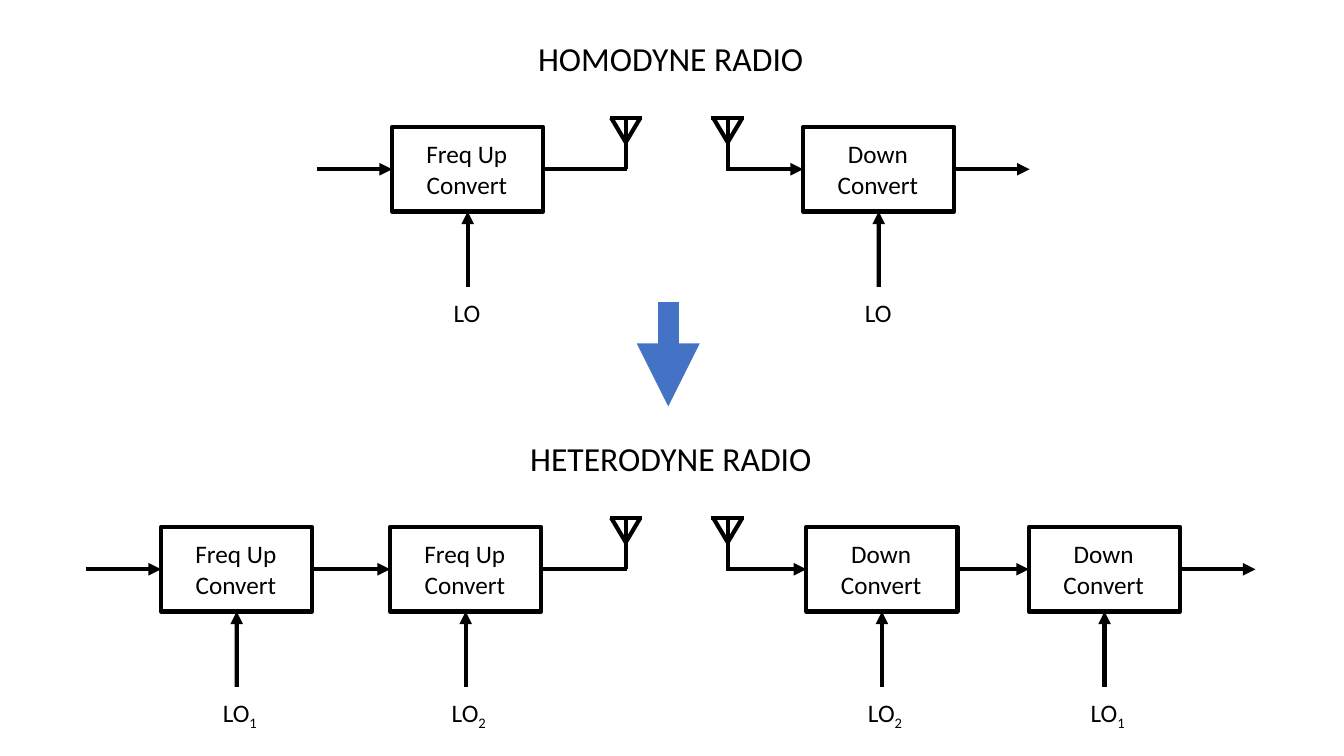
from dataclasses import dataclass

from lxml import etree
from pptx import Presentation, util as u
from pptx.dml.color import RGBColor
from pptx.enum import shapes as s, text as t
from pptx.oxml import ns

BLACK = RGBColor(0x00, 0x00, 0x00)
BLUE = RGBColor(0x44, 0x72, 0xC4)
FONT = "Calibri"

# Shared measures, in centimetres
STAGE_W, STAGE_H = 3.81, 2.13
SIGNAL_LEN = 1.9
TX_ANTENNA_X, RX_ANTENNA_X = 15.77, 18.34
RIGHT_SIDE, LEFT_SIDE, BOTTOM_SIDE = 3, 1, 2


@dataclass
class Stage:
    caption: str
    left: float
    subscript: str = ""


@dataclass
class Radio:
    title: str
    title_left: float
    title_top: float
    title_width: float
    stage_top: float
    transmit: list[Stage]
    receive: list[Stage]


RADIOS = [
    Radio("HOMODYNE RADIO", 13.31, 0.84, 7.26, 3.2,
          [Stage("Freq Up\vConvert", 9.88)],
          [Stage("Down\vConvert", 20.24)]),
    Radio("HETERODYNE RADIO", 13.11, 10.92, 7.67, 13.28,
          [Stage("Freq Up\vConvert", 4.06, "1"),
           Stage("Freq Up\vConvert", 9.83, "2")],
          [Stage("Down\vConvert", 20.32, "2"),
           Stage("Down\vConvert", 25.93, "1")]),
]


def draw_line(shapes, x1: float, y1: float, x2: float, y2: float,
              arrow: bool = False, color: RGBColor = BLACK, width: float = 3):
    connector = shapes.add_connector(
        s.MSO_CONNECTOR.STRAIGHT, u.Cm(x1), u.Cm(y1), u.Cm(x2), u.Cm(y2))
    connector.line.color.rgb = color
    connector.line.width = u.Pt(width)
    properties = connector._element.spPr
    if arrow:
        outline = properties.find(ns.qn("a:ln"))
        etree.SubElement(outline, ns.qn("a:tailEnd"), type="triangle")
    etree.SubElement(properties, ns.qn("a:effectLst"))
    return connector


def draw_text(shapes, wording: str, left: float, top: float, width: float,
              height: float, size: int = 18, centred: bool = False,
              subscript: str = "") -> None:
    frame = shapes.add_textbox(
        u.Cm(left), u.Cm(top), u.Cm(width), u.Cm(height)).text_frame
    frame.word_wrap = False
    frame.auto_size = t.MSO_AUTO_SIZE.SHAPE_TO_FIT_TEXT
    frame.text = wording
    line = frame.paragraphs[0]
    if centred:
        line.alignment = t.PP_ALIGN.CENTER
    if subscript:
        index = line.add_run()
        index.text = subscript
        index.font._element.set("baseline", "-25000")
    for run in line.runs:
        run.font.name = FONT
        run.font.size = u.Pt(size)
        run.font.color.rgb = BLACK


def draw_stage(shapes, stage: Stage, top: float):
    """Draw a converter with its local oscillator input."""
    converter = shapes.add_shape(
        s.MSO_SHAPE.RECTANGLE, u.Cm(stage.left), u.Cm(top),
        u.Cm(STAGE_W), u.Cm(STAGE_H))
    converter.shadow.inherit = False
    converter.fill.background()
    converter.line.color.rgb = BLACK
    converter.line.width = u.Pt(3)
    draw_text(shapes, stage.caption, stage.left + 0.6, top + 0.17,
              2.57, 1.8, centred=True)

    middle, bottom = stage.left + STAGE_W / 2, top + STAGE_H
    oscillator = draw_line(shapes, middle, bottom + SIGNAL_LEN,
                           middle, bottom, arrow=True)
    oscillator.end_connect(converter, BOTTOM_SIDE)
    draw_text(shapes, "LO", middle - 0.6, bottom + 2.04,
              1.42 if stage.subscript else 1.19, 1.02,
              subscript=stage.subscript)
    return converter


def draw_antenna(shapes, x: float, y: float, side: int) -> None:
    """Draw an antenna whose foot runs left (side -1) or right (side 1)."""
    antenna = shapes.add_group_shape().shapes
    for x1, y1, x2, y2 in [
        (-0.04 * side, 0, 1.23 * side, 0),
        (0, -1.3, 0, 0),
        (-0.37, -1.3, 0, -0.68),
        (0.37, -1.3, 0, -0.68),
        (-0.41, -1.3, 0.41, -1.3),
    ]:
        draw_line(antenna, x + x1, y + y1, x + x2, y + y2)


def draw_radio(shapes, radio: Radio) -> None:
    draw_text(shapes, radio.title, radio.title_left, radio.title_top,
              radio.title_width, 1.27, size=24)
    signal_y = radio.stage_top + STAGE_H / 2
    chains = [[draw_stage(shapes, stage, radio.stage_top) for stage in chain]
              for chain in (radio.transmit, radio.receive)]
    transmit, receive = chains

    # Antennas
    draw_antenna(shapes, TX_ANTENNA_X, signal_y, -1)
    draw_antenna(shapes, RX_ANTENNA_X, signal_y, 1)

    # Signals between neighbouring converters
    for chain in chains:
        for before, after in zip(chain, chain[1:]):
            link = draw_line(shapes, 0, signal_y, 1, signal_y, arrow=True)
            link.begin_connect(before, RIGHT_SIDE)
            link.end_connect(after, LEFT_SIDE)

    # Signals entering and leaving each chain
    for chain, stages, fed_to_antenna in [
        (transmit, radio.transmit, True),
        (receive, radio.receive, False),
    ]:
        start, finish = stages[0].left, stages[-1].left + STAGE_W
        entry = draw_line(shapes, start - SIGNAL_LEN, signal_y,
                          start, signal_y, arrow=True)
        entry.end_connect(chain[0], LEFT_SIDE)
        leaving = draw_line(shapes, finish, signal_y, finish + SIGNAL_LEN,
                            signal_y, arrow=not fed_to_antenna)
        leaving.begin_connect(chain[-1], RIGHT_SIDE)


def main() -> None:
    deck = Presentation()
    deck.slide_width, deck.slide_height = u.Cm(33.87), u.Cm(19.05)
    shapes = deck.slides.add_slide(deck.slide_layouts[6]).shapes
    for radio in RADIOS:
        draw_radio(shapes, radio)
    # Step from one architecture to the next
    draw_line(shapes, 16.84, 7.62, 16.84, 10.24, arrow=True,
              color=BLUE, width=15)
    deck.save("out.pptx")


if __name__ == "__main__":
    main()
